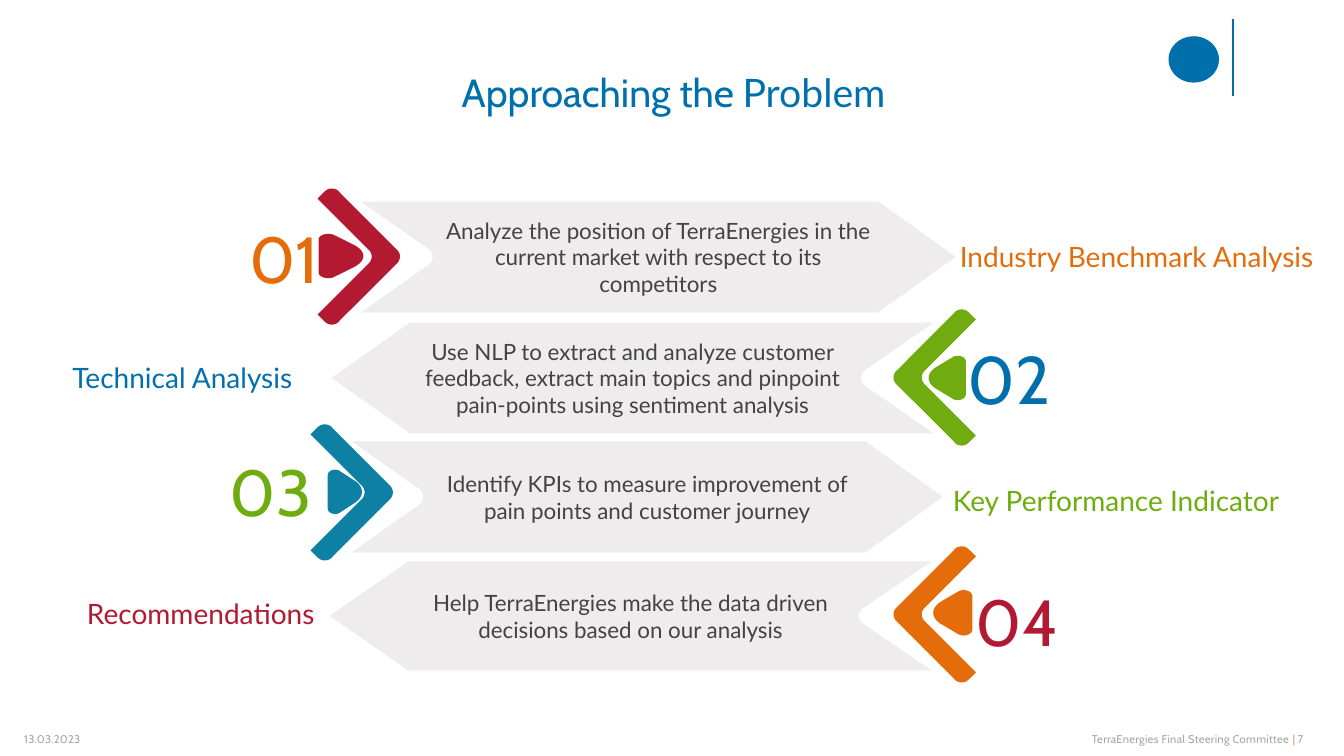
from dataclasses import dataclass

from lxml import etree
from pptx import Presentation
from pptx.dml.color import RGBColor
from pptx.enum.shapes import MSO_CONNECTOR, MSO_SHAPE
from pptx.enum.text import MSO_ANCHOR as Anchor, PP_ALIGN as Align
from pptx.oxml.ns import qn
from pptx.util import Inches, Pt

BLUE, ORANGE, GREEN, RED = "0070AD", "E46C0A", "6FAC10", "B21932"
TEAL, BANNER_GREY, TEXT_GREY, FOOTER_GREY = "0D80A4", "EEECEC", "434343", "A6A6A6"
BRAND_BLUE, FOOTER_BAR = "006FAC", "E29674"
HEADING_FONT, BODY_FONT = "Cabin", "Lato"
CURVE_STEPS = 8


@dataclass
class Box:
    left: float
    top: float
    width: float
    height: float


@dataclass
class Span:
    text: str
    size: float
    font: str
    color: str
    spacing: float = 0


@dataclass
class Outline:
    """Right-pointing path: two numbers make a corner, six make a cubic curve."""
    width: float
    height: float
    steps: list[tuple[float, ...]]


@dataclass
class Step:
    number: str
    number_size: float
    number_color: str
    number_box: Box
    arrow_color: str
    chevron: Box
    pip: Box
    banner: Box
    message: str
    label: str
    label_box: Box
    points_left: bool
    pip_line: float = 0


CHEVRON = Outline(0.83, 1.35, [
    (0.14, 0), (0.11, 0, 0.09, 0.01, 0.06, 0.04), (0, 0.1), (0.5, 0.6),
    (0.55, 0.64, 0.55, 0.71, 0.5, 0.75), (0, 1.25), (0.06, 1.31),
    (0.09, 1.34, 0.11, 1.35, 0.14, 1.35), (0.17, 1.35, 0.2, 1.34, 0.22, 1.31),
    (0.78, 0.75), (0.83, 0.71, 0.83, 0.64, 0.78, 0.6), (0.22, 0.04),
    (0.2, 0.01, 0.17, 0, 0.14, 0)])
PIP = Outline(0.47, 0.44, [
    (0.1, 0), (0.05, 0, 0, 0.02, 0, 0.06), (0, 0.38),
    (0, 0.42, 0.05, 0.44, 0.1, 0.44), (0.13, 0.44, 0.15, 0.43, 0.17, 0.42),
    (0.37, 0.32), (0.47, 0.26, 0.47, 0.18, 0.37, 0.12), (0.17, 0.02),
    (0.15, 0.01, 0.13, 0, 0.1, 0)])
BANNER = Outline(5.9, 1.1, [
    (0, 0), (0.67, 0.47), (0.7, 0.49, 0.71, 0.52, 0.71, 0.55),
    (0.71, 0.58, 0.7, 0.61, 0.67, 0.63), (0, 1.1), (5.13, 1.1), (5.9, 0.55), (5.13, 0)])

STEPS = [
    Step("01", 46.5, ORANGE, Box(2.14, 2.2, 1.15, 0.7), "B31A32",
         Box(3.15, 1.87, 0.83, 1.35), Box(3.16, 2.32, 0.47, 0.44), Box(3.58, 2, 5.9, 1.1),
         "Analyze the position of TerraEnergies in the current market with respect to its competitors",
         "Industry Benchmark Analysis", Box(9.39, 2.23, 3.91, 0.63), False),
    Step("02", 48, BLUE, Box(9.47, 3.4, 1.15, 0.7), "70AC10",
         Box(8.85, 3.07, 0.83, 1.35), Box(9.19, 3.53, 0.39, 0.44), Box(3.29, 3.2, 5.97, 1.1),
         "Use NLP to extract and analyze customer feedback, extract main topics and pinpoint "
         "pain-points using sentiment analysis",
         "Technical Analysis", Box(0.23, 3.43, 2.8, 0.63), True),
    Step("03", 46.5, GREEN, Box(2.07, 4.52, 1.15, 0.7), TEAL,
         Box(3.08, 4.21, 0.83, 1.35), Box(3.25, 4.66, 0.36, 0.44), Box(3.49, 4.38, 5.86, 1.1),
         "Identify KPIs to measure improvement of pain points and customer journey",
         "Key Performance Indicator", Box(9.32, 4.65, 3.74, 0.63), False),
    Step("04", 46.5, RED, Box(9.55, 5.81, 1.15, 0.7), ORANGE,
         Box(8.85, 5.42, 0.83, 1.35), Box(9.24, 5.86, 0.4, 0.44), Box(3.27, 5.57, 5.97, 1.08),
         "Help TerraEnergies make the data driven decisions based on our analysis",
         "Recommendations", Box(0.56, 5.77, 2.69, 0.63), True, 0.75),
]


def rgb(color: str) -> RGBColor:
    return RGBColor.from_string(color)


def paint(shape, color: str, line_width: float = 0) -> None:
    shape.shadow.inherit = False
    shape.fill.solid()
    shape.fill.fore_color.rgb = rgb(color)
    if line_width:
        shape.line.color.rgb = rgb(color)
        shape.line.width = Pt(line_width)
    else:
        shape.line.fill.background()


def write(shape, spans: list[Span], align=Align.LEFT, anchor=Anchor.MIDDLE,
          inset_x: float = 0.13, inset_y: float = 0.13) -> None:
    frame = shape.text_frame
    frame.word_wrap = True
    frame.vertical_anchor = anchor
    frame.margin_left = frame.margin_right = Inches(inset_x)
    frame.margin_top = frame.margin_bottom = Inches(inset_y)
    para = frame.paragraphs[0]
    para.alignment = align
    for span in spans:
        run = para.add_run()
        run.text = span.text
        run.font.size = Pt(span.size)
        run.font.name = span.font
        run.font.color.rgb = rgb(span.color)
        if span.spacing:
            run._r.get_or_add_rPr().set("spc", str(round(span.spacing * 100)))


def add_text(page, box: Box, spans: list[Span], **layout) -> None:
    shape = page.shapes.add_textbox(
        Inches(box.left), Inches(box.top), Inches(box.width), Inches(box.height))
    write(shape, spans, **layout)


def flatten(steps: list[tuple[float, ...]]) -> list[tuple[float, float]]:
    """Turn corners and cubic curves into a list of points."""
    points = []
    for step in steps:
        if len(step) == 2:
            points.append(step)
            continue
        x0, y0 = points[-1]
        x1, y1, x2, y2, x3, y3 = step
        for index in range(1, CURVE_STEPS + 1):
            t = index / CURVE_STEPS
            a, b, c, d = (1 - t) ** 3, 3 * t * (1 - t) ** 2, 3 * t * t * (1 - t), t ** 3
            points.append((a * x0 + b * x1 + c * x2 + d * x3,
                           a * y0 + b * y1 + c * y2 + d * y3))
    return points


def add_outline(page, outline: Outline, box: Box, points_left: bool, color: str,
                line_width: float = 0):
    """Fit the outline to the box, mirrored when it points left."""
    corners = []
    for x, y in flatten(outline.steps):
        across = x / outline.width
        if points_left:
            across = 1 - across
        corners.append((Inches(box.left + across * box.width),
                        Inches(box.top + y / outline.height * box.height)))
    builder = page.shapes.build_freeform(*corners[0])
    builder.add_line_segments(corners[1:], close=True)
    shape = builder.convert_to_shape()
    paint(shape, color, line_width)
    return shape


def add_step(page, step: Step) -> None:
    left = step.points_left
    add_text(page, step.number_box,
             [Span(step.number, step.number_size, HEADING_FONT, step.number_color)],
             align=Align.LEFT if left else Align.RIGHT)
    add_outline(page, CHEVRON, step.chevron, left, step.arrow_color)
    add_outline(page, PIP, step.pip, left, step.arrow_color, step.pip_line)
    banner = add_outline(page, BANNER, step.banner, left, BANNER_GREY)
    write(banner, [Span(step.message, 16, BODY_FONT, TEXT_GREY)],
          align=Align.CENTER, inset_x=0.8)
    add_text(page, step.label_box, [Span(step.label, 20, BODY_FONT, step.number_color)],
             align=Align.RIGHT if left else Align.LEFT)


def add_corner_mark(page) -> None:
    mark = page.shapes.add_shape(
        MSO_SHAPE.OVAL, Inches(11.59), Inches(0.36), Inches(0.5), Inches(0.46))
    paint(mark, BRAND_BLUE)
    rule = page.shapes.add_connector(
        MSO_CONNECTOR.STRAIGHT, Inches(12.23), Inches(0.19), Inches(12.23), Inches(0.95))
    rule.line.color.rgb = rgb(BRAND_BLUE)
    rule.line.width = Pt(1.5)
    etree.SubElement(rule._element.spPr, qn("a:effectLst"))


def main() -> None:
    deck = Presentation()
    deck.slide_width, deck.slide_height = Inches(13.33), Inches(7.5)
    page = deck.slides.add_slide(deck.slide_layouts[6])
    flush = {"anchor": Anchor.TOP, "inset_x": 0, "inset_y": 0}
    add_corner_mark(page)
    add_text(page, Box(4.58, 0.68, 4.67, 0.47),
             [Span("Approaching the ", 28, HEADING_FONT, BLUE),
              Span("Problem", 28, BODY_FONT, BLUE)], **flush)
    add_text(page, Box(0.24, 7.27, 3.42, 0.13),
             [Span("13.03.2023", 8, HEADING_FONT, FOOTER_GREY, 0.1)], **flush)
    add_text(page, Box(10.83, 7.27, 2.26, 0.13),
             [Span("TerraEnergies Final Steering Committee ", 8, HEADING_FONT, FOOTER_GREY, 0.2),
              Span("| ", 8, HEADING_FONT, FOOTER_BAR),
              Span("7", 8, HEADING_FONT, FOOTER_GREY, 0.2)], **flush)
    for step in STEPS:
        add_step(page, step)
    deck.save("out.pptx")


if __name__ == "__main__":
    main()
